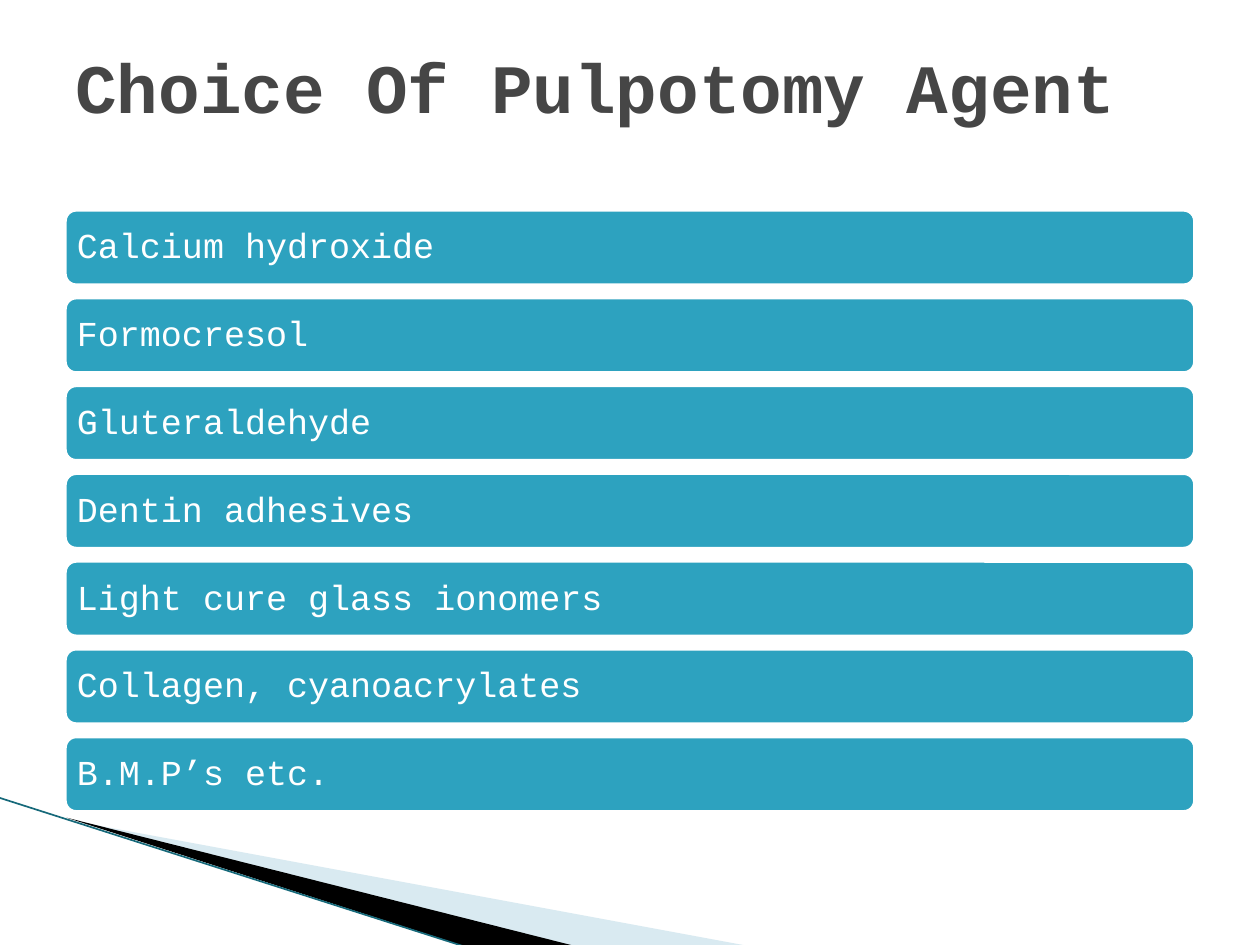
from pptx import Presentation
from pptx.dml.color import RGBColor
from pptx.enum.shapes import MSO_CONNECTOR, MSO_SHAPE
from pptx.enum.text import MSO_ANCHOR, PP_ALIGN
from pptx.oxml.ns import qn
from pptx.util import Inches, Pt
from lxml import etree

ROUND = MSO_SHAPE.ROUNDED_RECTANGLE
STRAIGHT = MSO_CONNECTOR.STRAIGHT
TOP, MIDDLE = MSO_ANCHOR.TOP, MSO_ANCHOR.MIDDLE
LEFT = PP_ALIGN.LEFT

COLORS = {
    "title": "464646",
    "bar": "2DA2BF",
    "white": "FFFFFF",
    "pale": "A0CBDC",
    "black": "000000",
    "edge": "16697A",
}
AGENTS = [
    "Calcium hydroxide",
    "Formocresol",
    "Gluteraldehyde",
    "Dentin adhesives",
    "Light cure glass ionomers",
    "Collagen, cyanoacrylates",
    "B.M.P’s etc.",
]
FIRST, LAST = 1.65, 5.83


class Deck:
    """Holds the style and the current slide."""

    font = "Courier New"

    def __init__(self, slide):
        self.shapes = slide.shapes

    def color(self, name):
        return RGBColor.from_string(COLORS[name])

    def label(self, shape, text, size, color, anchor, bold=False):
        """Put styled text into a shape and return its text frame."""
        frame = shape.text_frame
        frame.word_wrap = True
        frame.vertical_anchor = anchor
        frame.text = text
        para = frame.paragraphs[0]
        para.alignment = LEFT
        font = para.runs[0].font
        font.name, font.size, font.bold = self.font, Pt(size), bold
        font.color.rgb = self.color(color)
        return frame

    def title(self, text):
        box = self.shapes.add_textbox(
            Inches(0.5), Inches(0.3), Inches(9), Inches(1.25))
        self.label(box, text, 39.6, "title", TOP, bold=True)

    def bar(self, top, text):
        bar = self.shapes.add_shape(
            ROUND, Inches(0.5), Inches(top), Inches(9), Inches(0.63))
        bar.shadow.inherit = False
        bar.fill.solid()
        bar.fill.fore_color.rgb = self.color("bar")
        bar.line.color.rgb = self.color("white")
        bar.line.width = Pt(4.33)
        frame = self.label(bar, text, 20, "white", MIDDLE)
        frame.margin_left = frame.margin_right = Inches(0.08)
        frame.margin_top = frame.margin_bottom = Inches(0.08)
        frame.paragraphs[0].line_spacing = 0.9

    def wedge(self, points, color, alpha=100):
        """Draw a filled outline; alpha is the opacity in percent."""
        start, *rest = [(Inches(x), Inches(y)) for x, y in points]
        pen = self.shapes.build_freeform(*start)
        pen.add_line_segments(rest)
        wedge = pen.convert_to_shape()
        wedge.shadow.inherit = False
        wedge.line.fill.background()
        wedge.fill.solid()
        wedge.fill.fore_color.rgb = self.color(color)
        if alpha < 100:
            tint = wedge._element.spPr.find(".//" + qn("a:srgbClr"))
            etree.SubElement(tint, qn("a:alpha"), val=str(alpha * 1000))

    def line(self, start, end, color, width):
        ends = [Inches(n) for n in (*start, *end)]
        line = self.shapes.add_connector(STRAIGHT, *ends)
        line.line.color.rgb = self.color(color)
        line.line.width = Pt(width)
        etree.SubElement(line._element.spPr, qn("a:effectLst"))


def main():
    prs = Presentation()
    prs.slide_width, prs.slide_height = Inches(10), Inches(7.5)
    deck = Deck(prs.slides.add_slide(prs.slide_layouts[6]))

    deck.wedge([(0.55, 6.51), (5.95, 7.51), (4.56, 7.51)], "pale", 40)
    deck.wedge([(0.53, 6.49), (4.57, 7.51), (3.72, 7.52)], "black")
    deck.line((-0.01, 6.33), (3.71, 7.52), "edge", 0.95)

    deck.title("Choice Of Pulpotomy Agent")
    step = (LAST - FIRST) / (len(AGENTS) - 1)
    for row, agent in enumerate(AGENTS):
        deck.bar(FIRST + row * step, agent)

    prs.save("out.pptx")


if __name__ == "__main__":
    main()
